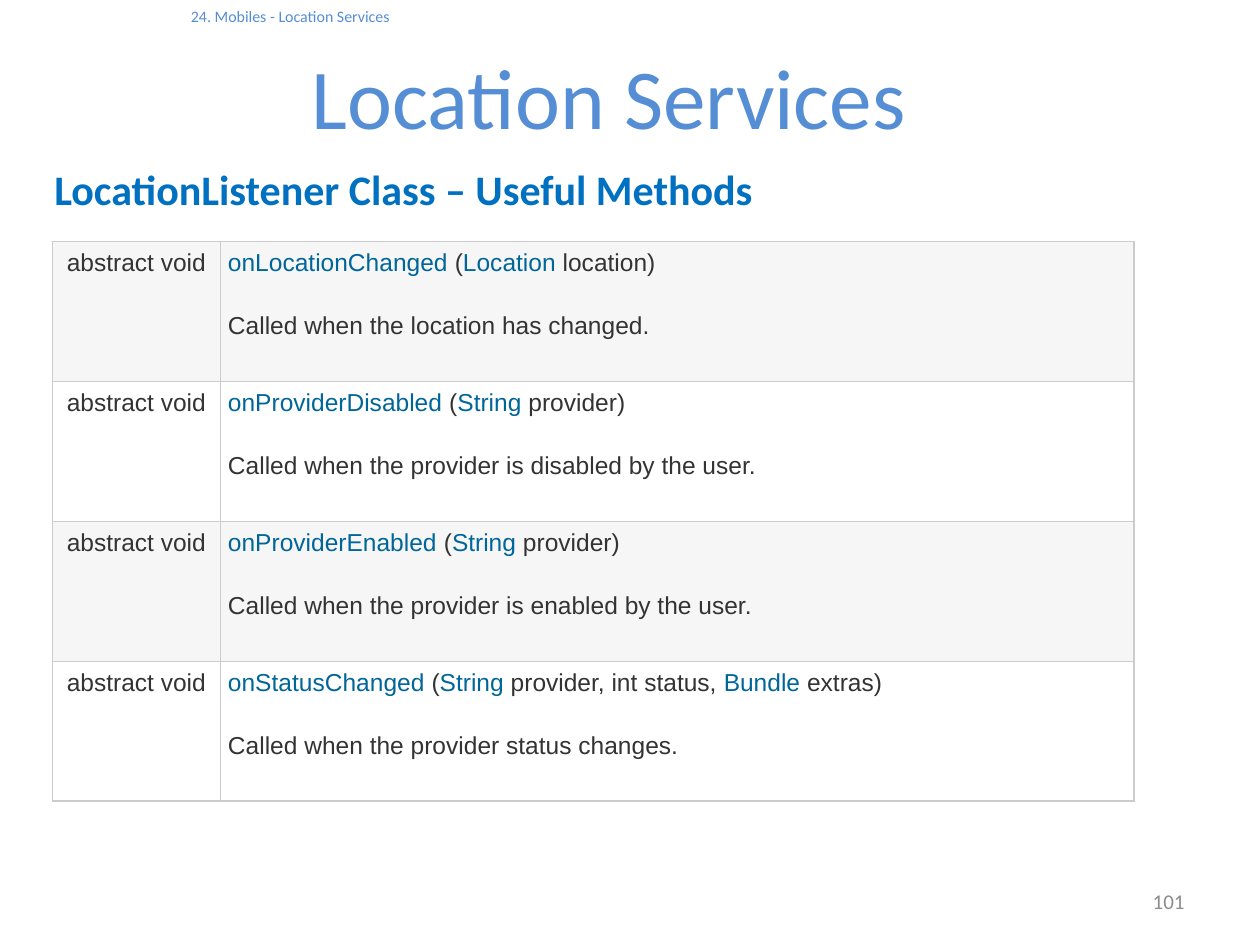
from dataclasses import dataclass

from lxml.etree import SubElement
from pptx import Presentation
from pptx.dml.color import RGBColor
from pptx.enum.text import MSO_ANCHOR, PP_ALIGN
from pptx.oxml.ns import qn
from pptx.util import Inches, Pt

COLORS = {
    "heading": "558ED5",
    "subtitle": "0070C0",
    "number": "8C8C8C",
    "body": "333333",
    "link": "006699",
    "border": "CCCCCC",
    "shaded": "F6F6F6",
    "plain": "FFFFFF",
}
SLIDE_WIDTH, SLIDE_HEIGHT = Inches(10), Inches(7.5)
GRID_COLUMNS = 120  # square grid, 120 columns by 90 rows
METHOD_ROW_HEIGHT = 13.33
METHOD_COLUMN_WIDTHS = (16, 87)


@dataclass(frozen=True)
class Area:
    """A rectangle in grid columns and rows."""
    left: float
    top: float
    width: float
    height: float


@dataclass(frozen=True)
class Method:
    """Signature pieces alternate between link and body text."""
    signature: tuple[str, ...]
    description: str


METHODS = (
    Method(("onLocationChanged ", "(", "Location ", "location)"),
           "Called when the location has changed."),
    Method(("onProviderDisabled ", "(", "String", " provider)"),
           "Called when the provider is disabled by the user."),
    Method(("onProviderEnabled ", "(", "String", " provider)"),
           "Called when the provider is enabled by the user."),
    Method(("onStatusChanged ", "(", "String", " provider, int status, ",
            "Bundle", " extras)"),
           "Called when the provider status changes."),
)


def grid(units: float) -> int:
    return round(SLIDE_WIDTH * units / GRID_COLUMNS)


def place(area: Area) -> tuple[int, ...]:
    return tuple(map(grid, (area.left, area.top, area.width, area.height)))


def rgb(name: str) -> RGBColor:
    return RGBColor.from_string(COLORS[name])


def write(paragraph, *pieces: str, size: float, colors: tuple[str, ...],
          font: str = "Calibri", bold: bool = False, align=PP_ALIGN.LEFT,
          before: float = 0, after: float = 0, spacing: float = 1.0,
          indent: float = 0) -> None:
    """Write pieces as runs, cycling through the colours."""
    if indent:
        paragraph._p.get_or_add_pPr().set("marL", str(grid(indent)))
    paragraph.alignment = align
    paragraph.space_before, paragraph.space_after = Pt(before), Pt(after)
    paragraph.line_spacing = spacing
    for index, piece in enumerate(pieces):
        run = paragraph.add_run()
        run.text = piece
        run.font.name, run.font.size, run.font.bold = font, Pt(size), bold
        run.font.color.rgb = rgb(colors[index % len(colors)])


def add_frame(slide, area: Area, anchor=MSO_ANCHOR.TOP, top_inset: float = 0.05):
    frame = slide.shapes.add_textbox(*place(area)).text_frame
    frame.word_wrap = True
    frame.vertical_anchor = anchor
    frame.margin_top = Inches(top_inset)
    return frame


def style_cell(cell, fill: str) -> None:
    cell.margin_left = cell.margin_right = Inches(0.06)
    cell.margin_top = cell.margin_bottom = Inches(0.03)
    properties = cell._tc.get_or_add_tcPr()
    for side in ("a:lnL", "a:lnR", "a:lnT", "a:lnB"):
        line = SubElement(properties, qn(side), w=str(Pt(1)))
        solid = SubElement(line, qn("a:solidFill"))
        SubElement(solid, qn("a:srgbClr"), val=COLORS["border"])
    cell.fill.solid()
    cell.fill.fore_color.rgb = rgb(fill)


def add_method_table(slide, left: float, top: float) -> None:
    area = Area(left, top, sum(METHOD_COLUMN_WIDTHS),
                METHOD_ROW_HEIGHT * len(METHODS))
    table = slide.shapes.add_table(
        len(METHODS), len(METHOD_COLUMN_WIDTHS), *place(area)).table
    table.first_row = table.horz_banding = False
    for column, width in zip(table.columns, METHOD_COLUMN_WIDTHS):
        column.width = grid(width)
    body = dict(size=14, font="Arial", spacing=1.15)
    for index, method in enumerate(METHODS):
        table.rows[index].height = grid(METHOD_ROW_HEIGHT)
        return_cell, method_cell = table.rows[index].cells
        for cell in (return_cell, method_cell):
            style_cell(cell, "plain" if index % 2 else "shaded")
        write(return_cell.text_frame.paragraphs[0], "abstract void ",
              colors=("body",), align=PP_ALIGN.RIGHT, **body)
        details = method_cell.text_frame
        write(details.paragraphs[0], *method.signature,
              colors=("link", "body"), after=12, **body)
        write(details.add_paragraph(), method.description,
              colors=("body",), before=6, **body)


def main() -> None:
    presentation = Presentation()
    presentation.slide_width = SLIDE_WIDTH
    presentation.slide_height = SLIDE_HEIGHT
    slide = presentation.slides.add_slide(presentation.slide_layouts[6])

    heading = add_frame(slide, Area(4, 0.6, 108, 11.4), top_inset=0)
    write(heading.paragraphs[0], "24. Mobiles - Location Services",
          size=9.1, colors=("heading",), indent=13)
    write(heading.add_paragraph(), "Location Services", size=48.7,
          colors=("heading",), align=PP_ALIGN.CENTER, before=11)

    page_number = add_frame(slide, Area(86, 83.4, 28, 4.8), MSO_ANCHOR.MIDDLE)
    write(page_number.paragraphs[0], "101", size=12, colors=("number",),
          align=PP_ALIGN.RIGHT)

    subtitle = add_frame(slide, Area(4, 15, 108, 7))
    write(subtitle.paragraphs[0], "LocationListener Class – Useful Methods",
          size=24, colors=("subtitle",), bold=True)

    add_method_table(slide, left=5, top=23)
    presentation.save("out.pptx")


if __name__ == "__main__":
    main()
